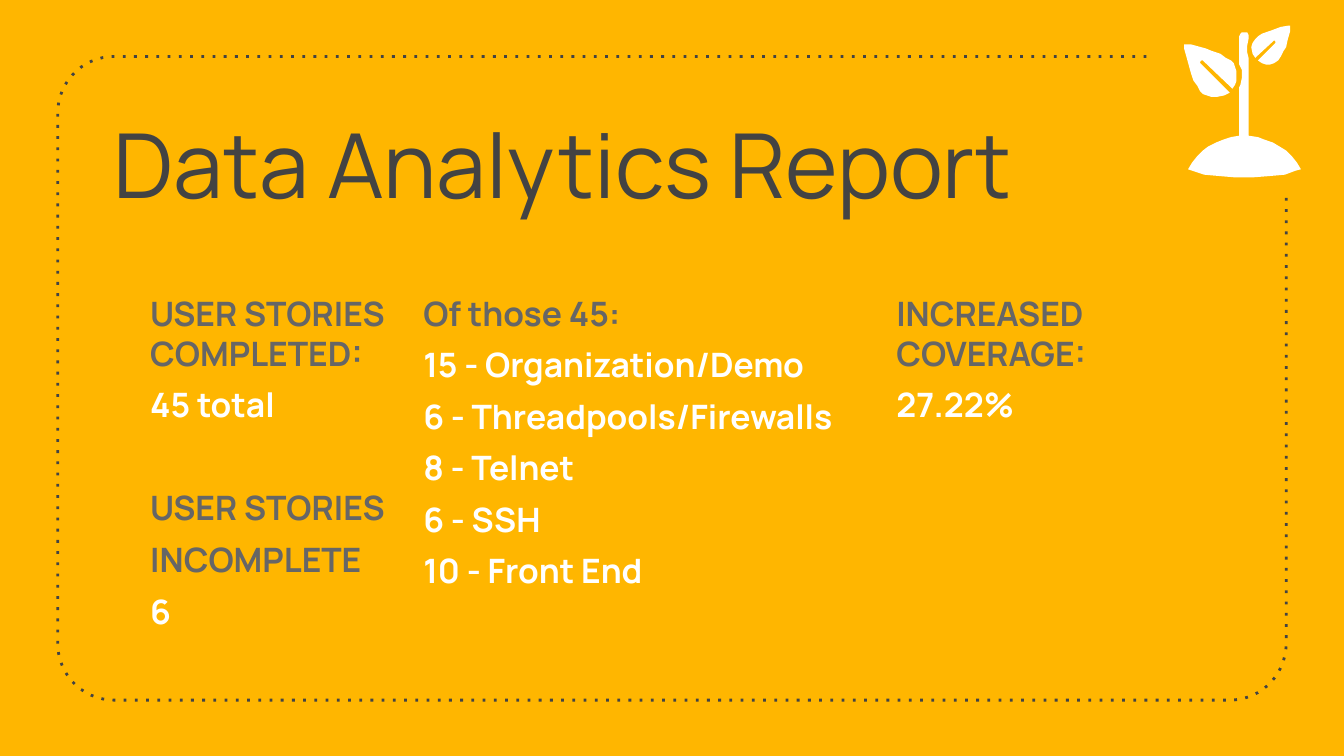
from dataclasses import dataclass
from math import cos, radians, sin

from pptx import Presentation
from pptx.dml.color import RGBColor as Rgb
from pptx.enum.dml import MSO_LINE as Dash
from pptx.enum.text import MSO_ANCHOR as Anchor
from pptx.oxml.ns import qn
from pptx.util import Cm, Pt


@dataclass(frozen=True)
class Theme:
    back: Rgb = Rgb(0xFF, 0xB6, 0x00)
    dark: Rgb = Rgb(0x43, 0x43, 0x43)
    grey: Rgb = Rgb(0x66, 0x66, 0x66)
    white: Rgb = Rgb(0xFF, 0xFF, 0xFF)
    font: str = "Manrope"
    title: Pt = Pt(48)
    body: Pt = Pt(18)
    gap: Pt = Pt(6)
    block: Pt = Pt(33.6)
    line: Pt = Pt(1.5)


THEME = Theme()
UNIT = Cm(0.0254)  # outline points count in this step

# Sprout outlines
SMALL_LEAF = [
    (959, 19), (953, 20), (945, 23), (939, 25), (936, 27), (934, 29), (932, 32),
    (931, 35), (932, 40), (934, 43), (947, 31), (948, 30), (949, 31), (949, 32),
    (936, 45), (939, 47), (942, 48), (945, 48), (948, 47), (951, 45), (953, 42),
    (955, 38), (957, 35), (958, 30), (960, 23), (960, 19)]
LARGE_LEAF = [
    (881, 33), (881, 36), (883, 43), (886, 54), (888, 60), (891, 64), (893, 68),
    (895, 70), (898, 71), (901, 72), (906, 72), (911, 71), (915, 69), (894, 48),
    (893, 47), (893, 46), (894, 45), (895, 45), (896, 46), (917, 66), (919, 63),
    (920, 60), (920, 53), (919, 50), (918, 47), (916, 45), (912, 43), (908, 40),
    (902, 38), (897, 36), (886, 33)]
STEM = [
    (926, 24), (924, 24), (923, 25), (922, 27), (922, 48), (924, 52), (924, 58),
    (923, 63), (922, 65), (922, 101), (916, 102), (910, 104), (905, 106),
    (899, 109), (895, 112), (891, 116), (887, 121), (884, 126), (887, 127),
    (896, 130), (907, 131), (919, 132), (932, 132), (945, 131), (956, 130),
    (964, 127), (968, 126), (965, 121), (961, 116), (957, 112), (952, 109),
    (947, 106), (941, 104), (936, 102), (929, 101), (929, 43), (928, 39),
    (928, 34), (929, 29), (929, 26), (928, 24)]


def trace(shapes, points, close):
    """Draw an outline through points given in UNIT steps."""
    (x, y), *rest = [(px * UNIT, py * UNIT) for px, py in points]
    pen = shapes.build_freeform(x, y)
    pen.add_line_segments(rest, close=close)
    shape = pen.convert_to_shape()
    shape.shadow.inherit = False
    return shape


def arc(x, y, start):
    """Quarter turn around a corner centre, running anticlockwise."""
    return [(x + 42 * cos(radians(a)), y - 42 * sin(radians(a)))
            for a in range(start, start + 91, 6)]


def add_frame(slide):
    points = [(853, 42), *arc(85, 84, 90), *arc(85, 479, 180),
              *arc(915, 479, 270), (957, 146)]
    frame = trace(slide.shapes, points, False)
    frame.fill.background()
    frame.line.color.rgb = THEME.dark
    frame.line.width = THEME.line
    frame.line.dash_style = Dash.ROUND_DOT
    for dash in frame.element.iter(qn("a:prstDash")):
        dash.set("val", "dot")


def add_sprout(slide):
    group = slide.shapes.add_group_shape()
    for points in (SMALL_LEAF, STEM, LARGE_LEAF):
        part = trace(group.shapes, points, True)
        part.fill.solid()
        part.fill.fore_color.rgb = THEME.white
        part.line.fill.background()


def add_box(slide, box, anchor=Anchor.TOP):
    frame = slide.shapes.add_textbox(*map(Cm, box)).text_frame
    frame.word_wrap = True
    frame.vertical_anchor = anchor
    frame.margin_left = frame.margin_right = Cm(0.25)
    frame.margin_top = frame.margin_bottom = Cm(0.25)
    return frame


def set_para(para, text, size, color, bold=False):
    para.text = text
    font = para.font
    font.name, font.size, font.bold = THEME.font, size, bold
    font.color.rgb = color


def add_title(slide, text, box):
    frame = add_box(slide, box, Anchor.BOTTOM)
    set_para(frame.paragraphs[0], text, THEME.title, THEME.dark)


def add_column(slide, box, blocks):
    """Each block holds its heading lines and its value lines."""
    frame = add_box(slide, box)
    para = frame.paragraphs[0]
    for index, (heads, values) in enumerate(blocks):
        lines = [(text, THEME.grey) for text in heads]
        lines += [(text, THEME.white) for text in values]
        for row, (text, color) in enumerate(lines):
            if index or row:
                para = frame.add_paragraph()
            set_para(para, text, THEME.body, color, True)
            para.space_before = THEME.block if index and not row else THEME.gap


def main():
    deck = Presentation()
    deck.slide_width, deck.slide_height = Cm(25.4), Cm(14.29)
    slide = deck.slides.add_slide(deck.slide_layouts[6])
    slide.background.fill.solid()
    slide.background.fill.fore_color.rgb = THEME.back

    # Frame, title and sprout
    add_frame(slide)
    add_title(slide, "Data Analytics Report", (1.9, 1.12, 21.59, 3.22))
    add_sprout(slide)

    # Report columns
    top = 5.28
    add_column(slide, (2.59, top, 6.65, 8.05), [
        (["USER STORIES COMPLETED:"], ["45 total"]),
        (["USER STORIES", "INCOMPLETE"], ["6"])])
    add_column(slide, (7.75, top, 8.94, 7.26), [
        (["Of those 45:"],
         ["15 - Organization/Demo", "6 - Threadpools/Firewalls",
          "8 - Telnet", "6 - SSH", "10 - Front End"])])
    add_column(slide, (16.69, top, 6.48, 4.65), [
        (["INCREASED COVERAGE:"], ["27.22%"])])

    deck.save("out.pptx")


if __name__ == "__main__":
    main()
